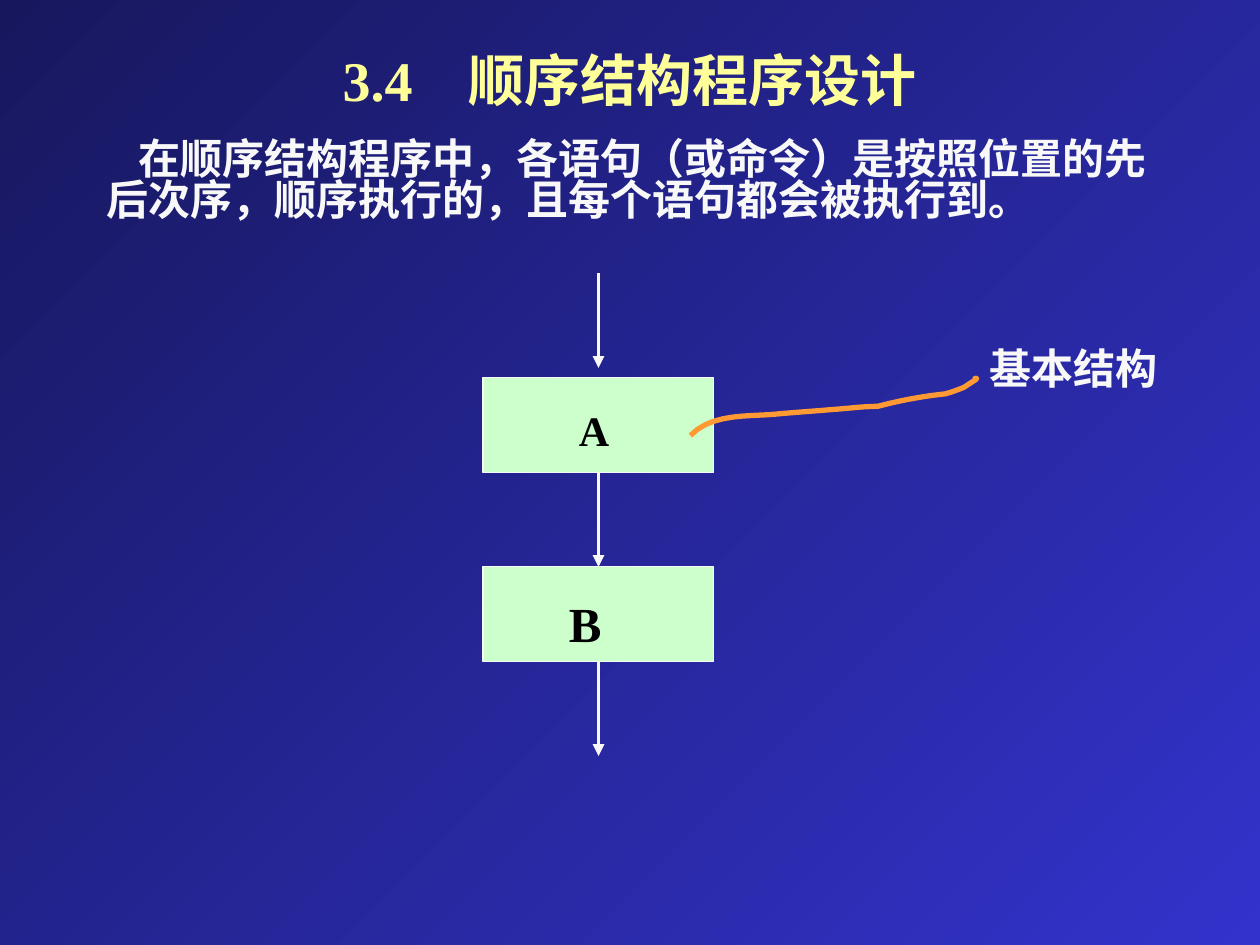
import lxml.etree
import pptx
import pptx.dml.color
import pptx.enum.shapes
import pptx.enum.text
import pptx.oxml.ns
import pptx.util
from pptx.util import Cm

COLORS = {
    "background": "3333CC",
    "background_dark": "17175E",
    "title": "FFFF99",
    "light": "F8F8F8",
    "block": "CCFFCC",
    "label": "000000",
    "pointer": "FF9933",
}
FONT = "Times New Roman"
qn = pptx.oxml.ns.qn


def color(key):
    return pptx.dml.color.RGBColor.from_string(COLORS[key])


def write(shape, text, size, color_key, indent=0, align=pptx.enum.text.PP_ALIGN.LEFT):
    """Put one bold, bullet-free paragraph into the shape."""
    frame = shape.text_frame
    frame.word_wrap = True
    frame.auto_size = pptx.enum.text.MSO_AUTO_SIZE.NONE
    frame.text = text
    paragraph = frame.paragraphs[0]
    properties = paragraph._p.get_or_add_pPr()
    properties.set("marL", "0")
    properties.set("indent", str(Cm(indent)))
    paragraph.space_before = pptx.util.Pt(0)
    lxml.etree.SubElement(properties, qn("a:buNone"))
    paragraph.alignment = align
    font = paragraph.runs[0].font
    font.name, font.size, font.bold = FONT, pptx.util.Pt(size), True
    font.color.rgb = color(color_key)
    return paragraph


def place(shape, left, top, width, height):
    shape.left, shape.top = Cm(left), Cm(top)
    shape.width, shape.height = Cm(width), Cm(height)


def paint_background(slide):
    fill = slide.background.fill
    fill.gradient()
    fill.gradient_angle = 135
    for stop, key in zip(fill.gradient_stops, ("background", "background_dark")):
        stop.color.rgb = color(key)


def add_heading(slide, left, top, width, height):
    title = slide.shapes.title
    place(title, left, top, width, height)
    title.text_frame.vertical_anchor = pptx.enum.text.MSO_ANCHOR.MIDDLE
    write(title, "3.4　顺序结构程序设计", 32, "title", align=pptx.enum.text.PP_ALIGN.CENTER)


def add_explanation(slide, left, top, width, height):
    body = slide.placeholders[1]
    place(body, left, top, width, height)
    body.text_frame.vertical_anchor = pptx.enum.text.MSO_ANCHOR.TOP
    paragraph = write(
        body,
        "在顺序结构程序中，各语句（或命令）是按照位置的先后次序，顺序执行的，且每个语句都会被执行到。",
        24, "light", indent=0.64)
    paragraph.line_spacing = 0.8


def add_label(slide, text, size, color_key, left, top, width, height, indent=0):
    label = slide.shapes.add_textbox(Cm(left), Cm(top), Cm(width), Cm(height))
    write(label, text, size, color_key, indent)


def add_block(slide, left, top, width, height):
    block = slide.shapes.add_shape(
        pptx.enum.shapes.MSO_SHAPE.RECTANGLE, Cm(left), Cm(top), Cm(width), Cm(height))
    block.shadow.inherit = False
    block.fill.solid()
    block.fill.fore_color.rgb = color("block")
    block.line.color.rgb = color("light")
    block.line.width = pptx.util.Pt(0.75)
    return block


def add_arrow(slide, x, top, length, source=None, target=None):
    """Draw a downward arrow, joined to the source's bottom and target's top."""
    arrow = slide.shapes.add_connector(
        pptx.enum.shapes.MSO_CONNECTOR.STRAIGHT, Cm(x), Cm(top), Cm(x), Cm(top + length))
    arrow.line.color.rgb = color("light")
    arrow.line.width = pptx.util.Pt(2.25)
    lxml.etree.SubElement(arrow.line._get_or_add_ln(), qn("a:tailEnd"), type="triangle")
    lxml.etree.SubElement(arrow._element.spPr, qn("a:effectLst"))
    if source is not None:
        arrow.begin_connect(source, 2)
    if target is not None:
        arrow.end_connect(target, 0)


def add_flowchart(slide, left, top, width, height):
    """Stack arrow, A, arrow, B, arrow in five equal steps."""
    step = height / 5
    center = left + width / 2
    block_a, block_b = (
        add_block(slide, left, top + row * step, width, step) for row in (1, 3))
    add_label(slide, "A", 24, "label", left + 1.26, top + step + 0.42, 2.12, 1.27, indent=0.42)
    add_label(slide, "B", 28, "label", left + 1.48, top + 3 * step + 0.42, 2.12, 1.45)
    add_arrow(slide, center, top - 0.2, step)
    add_arrow(slide, center, top + 2 * step, step, block_a, block_b)
    add_arrow(slide, center, top + 4 * step, step, block_b)


def bezier_points(start, control_1, control_2, end, steps=10):
    for index in range(1, steps + 1):
        t = index / steps
        weights = ((1 - t) ** 3, 3 * t * (1 - t) ** 2, 3 * t ** 2 * (1 - t), t ** 3)
        yield tuple(
            sum(weight * value for weight, value in zip(weights, values))
            for values in zip(start, control_1, control_2, end))


def add_pointer(slide, left, top):
    """Draw the curve from block A up to its caption."""
    start = (0, 1.17)
    curves = [
        ((0.43, 0.71), (1.22, 0.79), (1.7, 0.74)),
        ((2.24, 0.69), (2.74, 0.66), (3.28, 0.61)),
        ((3.45, 0.59), (3.78, 0.58), (3.78, 0.58)),
        ((4.24, 0.46), (4.67, 0.38), (5.13, 0.33)),
        ((5.26, 0.3), (5.38, 0.25), (5.51, 0.2)),
        ((5.51, 0.2), (5.74, 0.05), (5.77, 0.03)),
        ((5.77, 0), (5.72, 0.03), (5.72, 0.03)),
    ]
    points = [start]
    for curve in curves:
        points.extend(bezier_points(points[-1], *curve))
    outline = [(Cm(left + x), Cm(top + y)) for x, y in points]
    builder = slide.shapes.build_freeform(*outline[0])
    builder.add_line_segments(outline[1:], close=False)
    pointer = builder.convert_to_shape()
    pointer.shadow.inherit = False
    pointer.fill.background()
    pointer.line.color.rgb = color("pointer")
    pointer.line.width = pptx.util.Pt(3)


def add_callout(slide, left, top):
    add_pointer(slide, left, top + 0.84)
    add_label(slide, "基本结构", 24, "light", left + 5.77, top, 4.65, 1.27)


def main():
    presentation = pptx.Presentation()
    presentation.slide_width, presentation.slide_height = Cm(25.4), Cm(19.05)
    slide = presentation.slides.add_slide(presentation.slide_layouts[1])
    paint_background(slide)
    add_heading(slide, 1.9, 0.85, 21.6, 1.48)
    add_explanation(slide, 1.9, 2.75, 22.23, 2.96)
    add_flowchart(slide, 9.74, 5.71, 4.65, 9.53)
    add_callout(slide, 13.92, 6.77)
    presentation.save("out.pptx")


if __name__ == "__main__":
    main()
